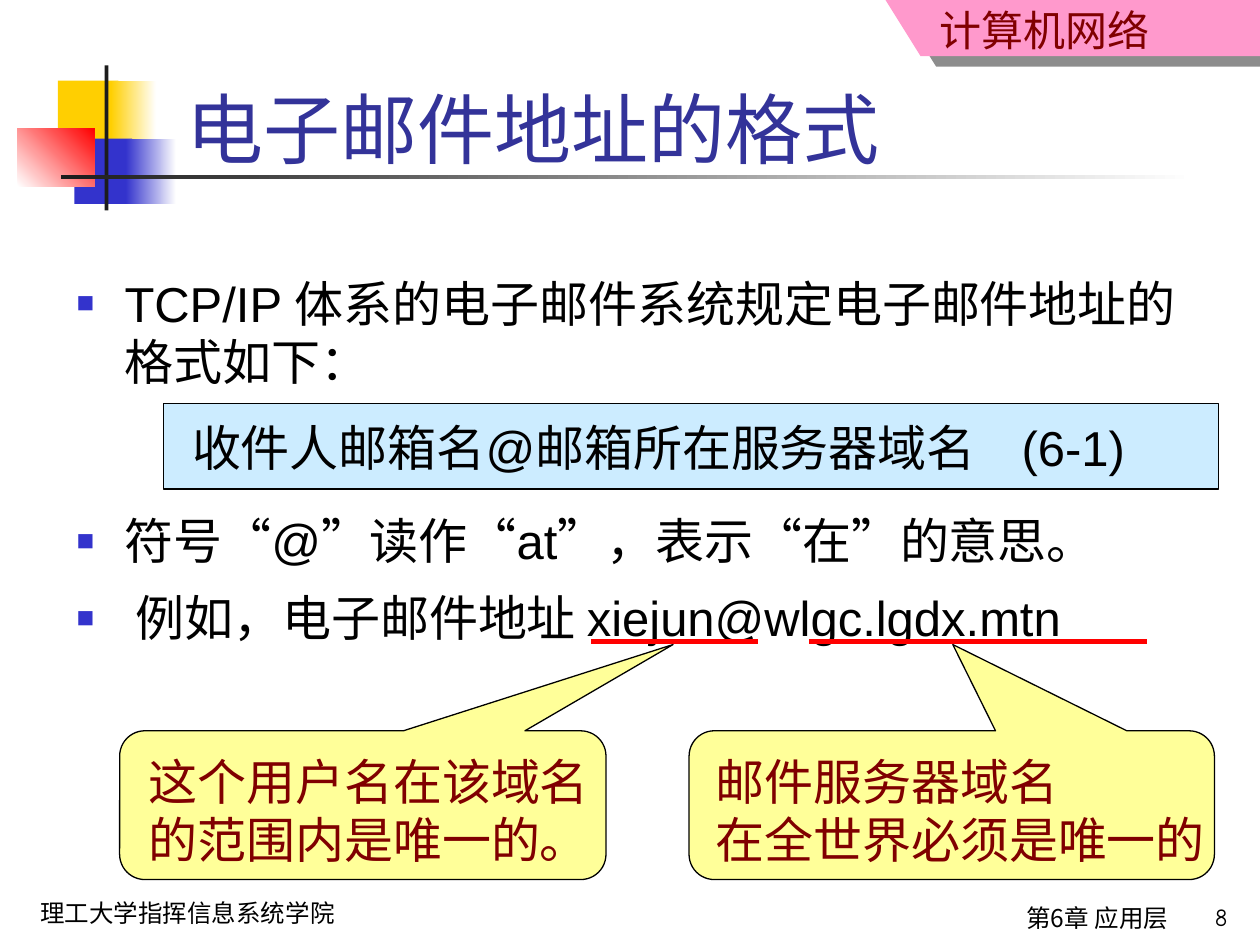
from lxml.etree import SubElement
from pptx import Presentation
from pptx.dml.color import RGBColor as RGB
from pptx.enum.shapes import MSO_CONNECTOR as LINK, MSO_SHAPE as SHAPE
from pptx.enum.text import MSO_ANCHOR as ANCHOR, PP_ALIGN as ALIGN
from pptx.oxml.ns import qn
from pptx.util import Pt

THEME = {
    "gold": "FFCF01", "blue": "3333CC", "red": "FF0000", "dark": "1C1C1C",
    "white": "FFFFFF", "pink": "FF99CC", "maroon": "800000", "black": "000000",
    "navy": "333399", "sky": "CCECFF", "cream": "FFFF99",
    "latin": "Arial", "comic": "Comic Neue", "cjk": "Noto Sans CJK SC",
    "title": 44, "body": 28, "head": 24, "foot": 14, "lead": 1.18,
}

# Content
TITLE = "电子邮件地址的格式"
BODY = [  # text, bulleted, space before
    ("TCP/IP 体系的电子邮件系统规定电子邮件地址的格式如下：", True, 0),
    ("收件人邮箱名@邮箱所在服务器域名\t(6-1)", False, 16.5),
    ("符号“@”读作“at”，表示“在”的意思。", True, 20),
    (" 例如，电子邮件地址 xiejun@wlgc.lgdx.mtn", True, 11),
]
NOTES = [  # lines, bubble left and width, text left and width, tip, underline
    (("邮件服务器域名", "在全世界必须是唯一的"),
     393.8, 300.2, 401.8, 300.2, 0.002, (462.2, 655.2)),
    (("这个用户名在该域名", "的范围内是唯一的。"),
     68.4, 277.9, 77.8, 272.2, 0.638, (337.7, 433.4)),
]
LABELS = [  # text, box, top inset, size, font, colour, alignment
    ("理工大学指挥信息系统学院", (15.8, 508.3, 223.9, 24.5), 5,
     "foot", "comic", "black", ALIGN.LEFT),
    ("计算机网络", (419, 0, 244.8, 32.4), 3,
     "head", "cjk", "maroon", ALIGN.RIGHT),
    ("第6章 应用层", (308.9, 510.5, 365.8, 29.5), 5.6,
     "foot", "cjk", "black", ALIGN.RIGHT),
    ("8", (651.6, 510.5, 56.9, 27.4), 5,
     "foot", "comic", "black", ALIGN.RIGHT),
]
DECOR = [  # box, colours (two make a gradient), angle
    ((33.1, 46.1, 34.6, 37.4), ("gold",), 0),
    ((63.4, 46.1, 25.9, 37.4), ("gold", "white"), 0),
    ((42.5, 79.2, 33.1, 37.4), ("blue",), 0),
    ((72, 79.2, 28.8, 37.4), ("blue", "white"), 0),
    ((10.1, 73.4, 43.9, 33.1), ("white", "red"), 45),
    ((59.8, 37.4, 2.2, 82.8), ("dark",), 0),
    ((34.6, 100.1, 648, 2.2), ("dark", "white"), 0),
]
BAND = [(506.2, 0), (525.6, 31.7), (720, 31.7), (720, 0)]

deck = Presentation()
deck.slide_width, deck.slide_height = Pt(720), Pt(540)
slide = deck.slides.add_slide(deck.slide_layouts[5])
shapes = slide.shapes


def tint(name):
    return RGB.from_string(THEME[name])


def place(item, box):
    item.left, item.top, item.width, item.height = map(Pt, box)


def style(item, fill, line=None):
    item.shadow.inherit = False
    item.fill.solid()
    item.fill.fore_color.rgb = tint(fill)
    if line:
        item.line.color.rgb, item.line.width = tint(line), Pt(0.75)
    else:
        item.line.fill.background()
    return item


def block(kind, box, fill, line=None):
    return style(shapes.add_shape(kind, *map(Pt, box)), fill, line)


def frame(item, top=3.6, foot=3.6, anchor=ANCHOR.TOP):
    text = item.text_frame
    text.word_wrap, text.vertical_anchor = True, anchor
    text.margin_left = text.margin_right = Pt(7.2)
    text.margin_top, text.margin_bottom = Pt(top), Pt(foot)
    return text


def write(para, words, size, font, color, align=ALIGN.LEFT, before=0):
    para.alignment = align
    para.line_spacing = Pt(round(THEME[size] * THEME["lead"], 1))
    para.space_before, para.space_after = Pt(before), Pt(0)
    run = para.add_run()
    run.text = words
    run.font.size, run.font.name = Pt(THEME[size]), THEME[font]
    run.font.color.rgb = tint(color)
    SubElement(run.font._element, qn("a:ea"), typeface=THEME["cjk"])


def next_para(text, index):
    return text.add_paragraph() if index else text.paragraphs[0]


def bullet(props):
    color = SubElement(props, qn("a:buClr"))
    SubElement(color, qn("a:srgbClr"), val=THEME["blue"])
    SubElement(props, qn("a:buSzPct"), val="60000")
    SubElement(props, qn("a:buFont"), typeface=THEME["latin"])
    SubElement(props, qn("a:buChar"), char="■")


# Corner squares and rules
for box, colors, angle in DECOR:
    part = block(SHAPE.RECTANGLE, box, colors[0])
    if len(colors) == 2:
        part.fill.gradient()
        part.fill.gradient_angle = angle
        for stop, name in zip(part.fill.gradient_stops, colors):
            stop.color.rgb = tint(name)

# Course band with its offset shadow
build = shapes.build_freeform(*BAND[0], scale=Pt(1))
build.add_line_segments(BAND[1:], close=True)
band = style(build.convert_to_shape(), "pink")
glow = SubElement(band._element.spPr.find(qn("a:effectLst")), qn("a:outerShdw"),
                  dist=str(Pt(10.8)), dir=str(34 * 60000),
                  algn="ctr", rotWithShape="0")
shade = SubElement(glow, qn("a:srgbClr"), val=THEME["dark"])
SubElement(shade, qn("a:alpha"), val="50000")

# Course name and footer
for words, box, top, size, font, color, align in LABELS:
    text = frame(shapes.add_textbox(*map(Pt, box)), top)
    write(text.paragraphs[0], words, size, font, color, align)

# Formula panel
block(SHAPE.RECTANGLE, (93.6, 230.4, 602.6, 49), "sky", "black")

# Title
place(shapes.title, (99.4, 16.6, 612.7, 82.8))
text = frame(shapes.title, foot=0, anchor=ANCHOR.BOTTOM)
write(text.paragraphs[0], TITLE, "title", "latin", "navy")

# Body: hanging bullets, and a formula numbered at a right tab
text = frame(shapes.add_textbox(*map(Pt, (36.7, 151.2, 657.4, 357.1))), 5.6)
for index, (words, dotted, before) in enumerate(BODY):
    para = next_para(text, index)
    props = para._p.get_or_add_pPr()
    if dotted:
        props.set("marL", str(Pt(27.4)))
        props.set("indent", str(Pt(-27.4)))
        bullet(props)
    else:
        props.set("marL", "0")
        props.set("indent", str(Pt(66)))
        tabs = SubElement(props, qn("a:tabLst"))
        SubElement(tabs, qn("a:tab"), pos=str(Pt(641)), algn="r")
    write(para, words, "body", "latin", "black", before=before)

# Underlines and callouts
for lines, left, width, start, span, tip, (x1, x2) in NOTES:
    rule = shapes.add_connector(LINK.STRAIGHT, *map(Pt, (x1, 366.5, x2, 366.5)))
    rule.line.color.rgb, rule.line.width = tint("red"), Pt(3)
    SubElement(rule._element.spPr, qn("a:effectLst"))
    bubble = block(SHAPE.ROUNDED_RECTANGULAR_CALLOUT,
                   (left, 417.6, width, 85), "cream", "black")
    for index, value in enumerate((tip, -1.08, 0.17)):
        bubble.adjustments[index] = value
    text = frame(shapes.add_textbox(*map(Pt, (start, 423.4, span, 74.9))), 6.6)
    for index, words in enumerate(lines):
        write(next_para(text, index), words, "body", "cjk", "maroon")

deck.save("out.pptx")
